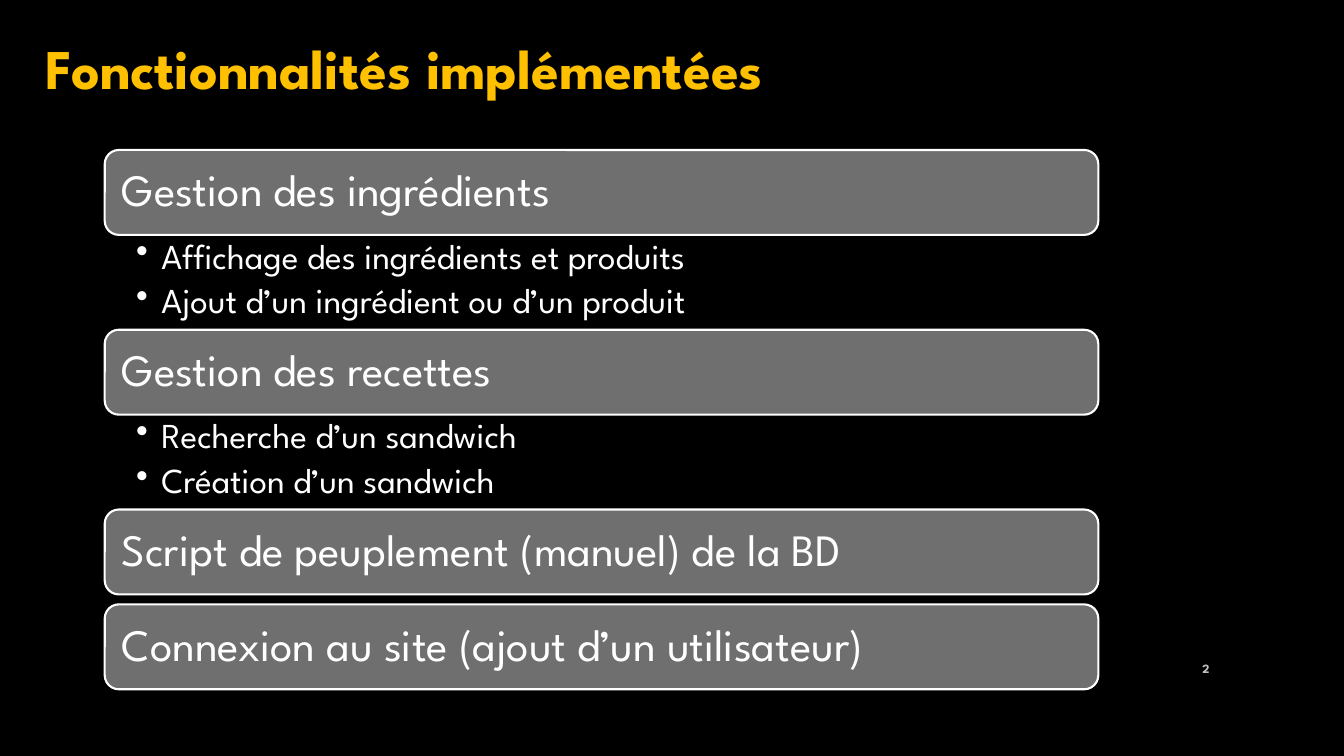
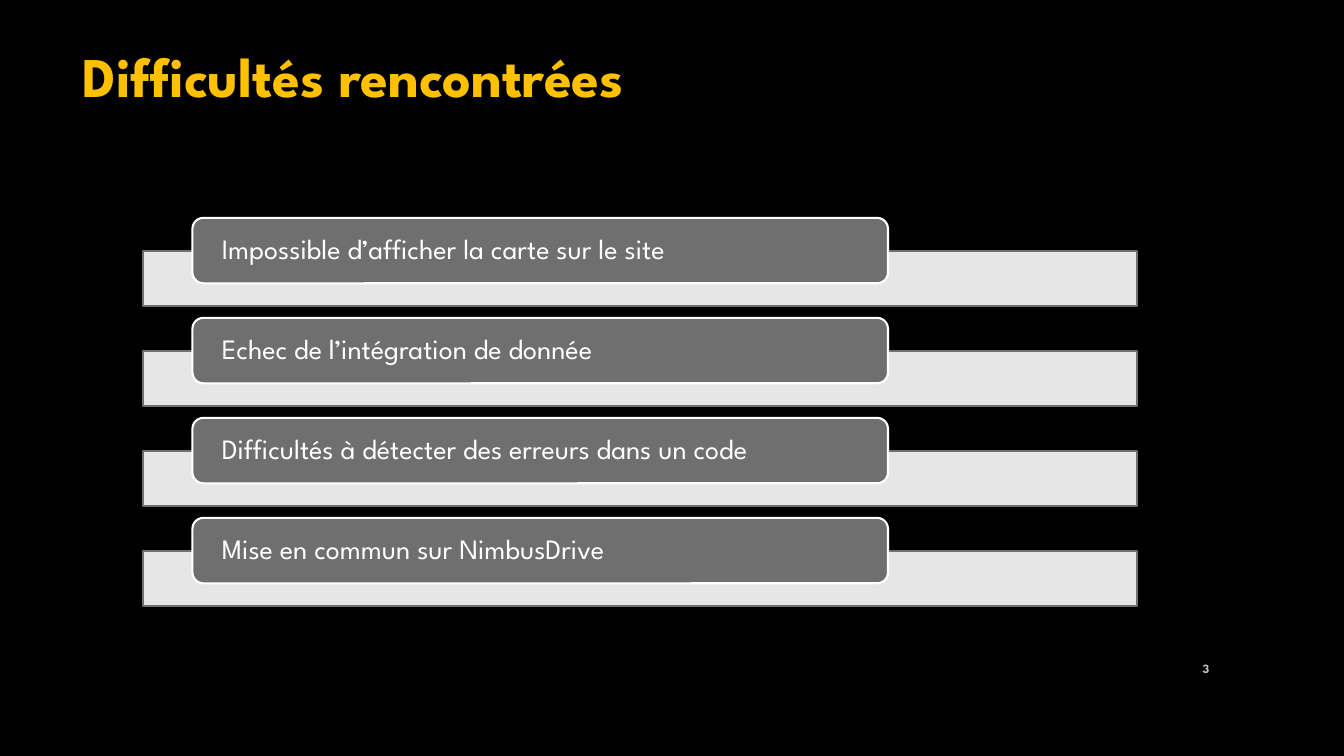
"""Build two slides: the features delivered and the difficulties met."""
from lxml import etree
from pptx import Presentation
from pptx.dml.color import RGBColor
from pptx.enum.shapes import MSO_SHAPE
from pptx.enum.text import MSO_ANCHOR, MSO_AUTO_SIZE, PP_ALIGN
from pptx.oxml.ns import qn
from pptx.util import Cm, Pt

RECTANGLE, ROUNDED = MSO_SHAPE.RECTANGLE, MSO_SHAPE.ROUNDED_RECTANGLE
MIDDLE, TOP = MSO_ANCHOR.MIDDLE, MSO_ANCHOR.TOP
LEFT, RIGHT = PP_ALIGN.LEFT, PP_ALIGN.RIGHT
GROW = MSO_AUTO_SIZE.SHAPE_TO_FIT_TEXT

FONT = "League Spartan"
BLACK = RGBColor(0x00, 0x00, 0x00)
WHITE = RGBColor(0xFF, 0xFF, 0xFF)
GOLD = RGBColor(0xFF, 0xC0, 0x00)
GREY = RGBColor(0x6F, 0x6F, 0x6F)
SILVER = RGBColor(0xBF, 0xBF, 0xBF)

FIRST_NUMBER = 2
FEATURES_TITLE = ("Fonctionnalités implémentées", (0.91, 0.71, 21.13, 1.96))
FEATURES = [
    ("Gestion des ingrédients",
     ["Affichage des ingrédients et produits", "Ajout d’un ingrédient ou d’un produit"]),
    ("Gestion des recettes", ["Recherche d’un sandwich", "Création d’un sandwich"]),
    ("Script de peuplement (manuel) de la BD", []),
    ("Connexion au site (ajout d’un utilisateur)", []),
]
DIFFICULTIES_TITLE = ("Difficultés rencontrées", (1.83, 0.91, 15.72, 1.96))
DIFFICULTIES = [
    "Impossible d’afficher la carte sur le site",
    "Echec de l’intégration de donnée",
    "Difficultés à détecter des erreurs dans un code",
    "Mise en commun sur NimbusDrive",
]

BAND_WIDTH = 25.04
FEATURE_LEFT, FEATURE_TOP = 2.64, 3.78
FEATURE_HEIGHT, DETAILS_HEIGHT, FEATURE_GAP = 2.14, 2.39, 0.25
RAIL_LEFT, RAIL_HEIGHT, RAIL_DROP = 3.61, 1.4, 0.83
TAB_LEFT, TAB_TOP, TAB_WIDTH, TAB_HEIGHT = 4.85, 5.49, 17.53, 1.65
TAB_PITCH = 2.52


def write(shape, lines, size, color, bold=False, align=LEFT, anchor=TOP,
          insets=(0.25, 0.13, 0.25, 0.13), spacing=None):
    frame = shape.text_frame
    frame.word_wrap = True
    frame.vertical_anchor = anchor
    (frame.margin_left, frame.margin_top,
     frame.margin_right, frame.margin_bottom) = map(Cm, insets)
    frame.text = "\n".join(lines)
    for para in frame.paragraphs:
        para.alignment = align
        para.line_spacing = spacing
        para.font.name = FONT
        para.font.size = Pt(size)
        para.font.bold = bold
        para.font.color.rgb = color
    return frame


def add_text(page, area, lines, size, color, **style):
    box = page.shapes.add_textbox(*map(Cm, area))
    return write(box, lines, size, color, **style)


def add_panel(page, kind, area, fill, line):
    panel = page.shapes.add_shape(kind, *map(Cm, area))
    panel.shadow.inherit = False
    panel.fill.solid()
    panel.fill.fore_color.rgb = fill
    panel.line.color.rgb = line
    panel.line.width = Pt(1.5)
    return panel


def add_label(page, area, text, size, insets):
    panel = add_panel(page, ROUNDED, area, GREY, WHITE)
    write(panel, [text], size, WHITE, anchor=MIDDLE, insets=insets, spacing=0.9)


def add_details(page, area, lines):
    frame = add_text(page, area, lines, 25, WHITE, insets=(0.79, 0.1, 0.64, 0.1), spacing=0.9)
    for para in frame.paragraphs:
        para.level = 1
        para.space_after = Pt(5)
        properties = para._p.get_or_add_pPr()
        properties.set("marL", str(Cm(0.64)))
        properties.set("indent", str(Cm(-0.64)))
        bullet = etree.Element(qn("a:buChar"), char="•")
        properties.insert_element_before(bullet, "a:tabLst", "a:defRPr", "a:extLst")


def add_rail(page, area):
    rail = add_panel(page, RECTANGLE, area, WHITE, GREY)
    color = rail._element.spPr.find(qn("a:solidFill")).find(qn("a:srgbClr"))
    etree.SubElement(color, qn("a:alpha"), val="90000")


def add_page(deck, title, area):
    page = deck.slides.add_slide(deck.slide_layouts[6])
    number = FIRST_NUMBER + len(deck.slides) - 1
    add_text(page, (29.21, 16.33, 1.52, 1.02), [str(number)], 9, SILVER,
             bold=True, align=RIGHT, anchor=MIDDLE)
    frame = add_text(page, area, [title], 40, GOLD, bold=True)
    frame.word_wrap = False
    frame.auto_size = GROW
    return page


def add_features(deck):
    page = add_page(deck, *FEATURES_TITLE)
    top = FEATURE_TOP
    for heading, details in FEATURES:
        add_label(page, (FEATURE_LEFT, top, BAND_WIDTH, FEATURE_HEIGHT), heading, 32, (0.33,) * 4)
        top += FEATURE_HEIGHT
        if details:
            add_details(page, (FEATURE_LEFT, top, BAND_WIDTH, DETAILS_HEIGHT), details)
        top += DETAILS_HEIGHT if details else FEATURE_GAP


def add_difficulties(deck):
    page = add_page(deck, *DIFFICULTIES_TITLE)
    for index, difficulty in enumerate(DIFFICULTIES):
        top = TAB_TOP + index * TAB_PITCH
        add_rail(page, (RAIL_LEFT, top + RAIL_DROP, BAND_WIDTH, RAIL_HEIGHT))
        add_label(page, (TAB_LEFT, top, TAB_WIDTH, TAB_HEIGHT), difficulty, 20, (0.66, 0, 0.66, 0))


def main():
    deck = Presentation()
    deck.slide_width, deck.slide_height = Cm(33.87), Cm(19.05)
    background = deck.slide_master.background.fill
    background.solid()
    background.fore_color.rgb = BLACK
    add_features(deck)
    add_difficulties(deck)
    deck.save("out.pptx")


if __name__ == "__main__":
    main()
